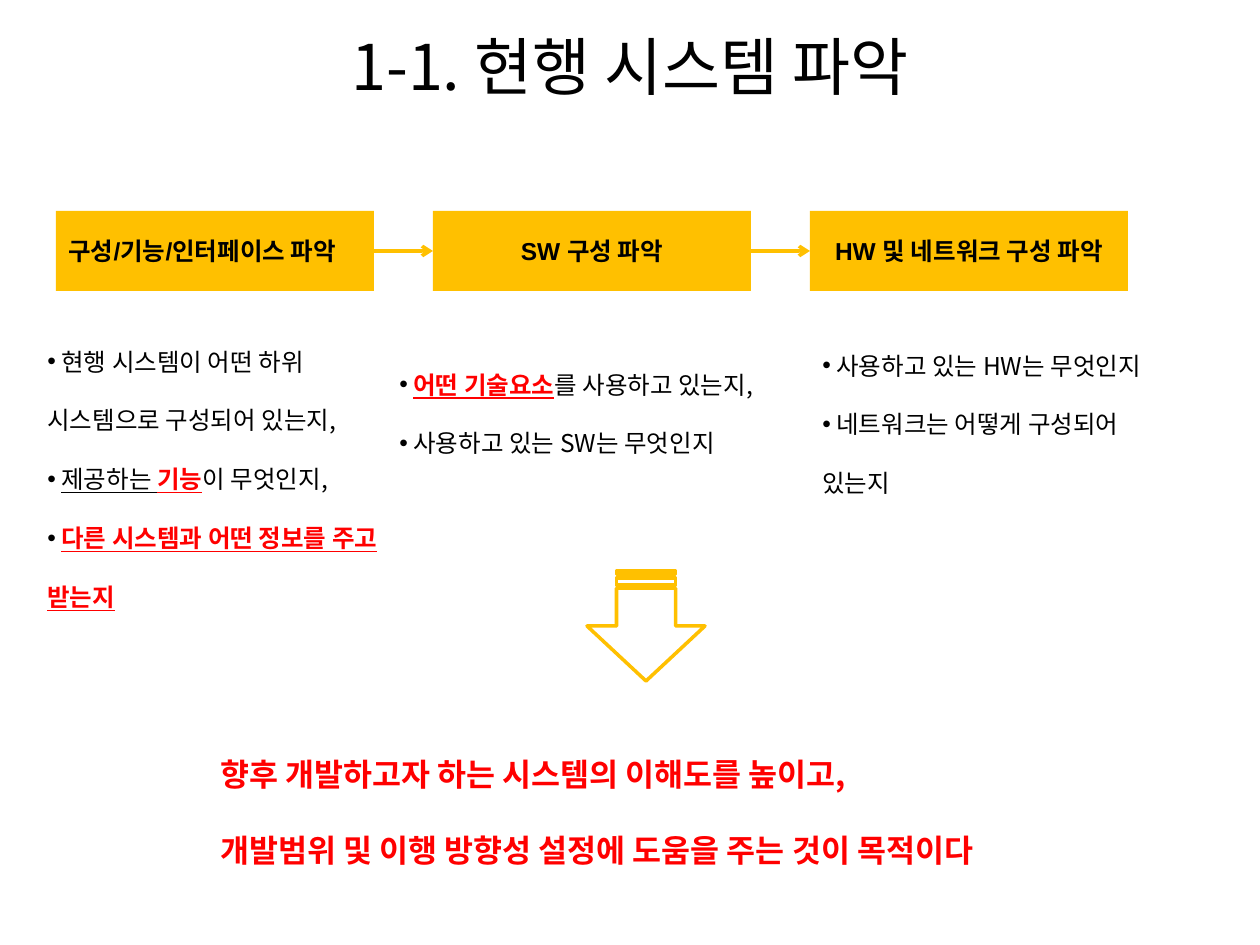
"""Build the slide on surveying the current system."""

from dataclasses import dataclass
from itertools import pairwise
from typing import Any, NamedTuple

import pptx
import pptx.dml.color
import pptx.enum.shapes
import pptx.enum.text
import pptx.oxml.ns
import pptx.util
from lxml import etree

EMU_PER_PX = 914400 / 126
ALIGN = pptx.enum.text.PP_ALIGN
ANCHOR = pptx.enum.text.MSO_ANCHOR
SHAPE = pptx.enum.shapes.MSO_SHAPE


@dataclass(frozen=True)
class Theme:
    amber: str = "FFC000"
    ink: str = "000000"
    accent: str = "FF0000"
    korean: str = "Noto Sans CJK KR"
    latin: str = "Arial"
    title_size: int = 36
    body_size: int = 14
    goal_size: int = 18
    line_width: int = 2


class Frame(NamedTuple):
    left: int
    top: int
    width: int
    height: int


class Span(NamedTuple):
    text: str
    strong: bool = False
    underlined: bool = False


class Step(NamedTuple):
    heading: str
    align: Any
    question_area: Frame
    questions: list[list[Span]]


THEME = Theme()
FIRST_STEP = Frame(56, 211, 318, 80)
STEP_PITCH = 377
STEPS = [
    Step("구성/기능/인터페이스 파악", ALIGN.LEFT, Frame(35, 311, 367, 310), [
        [Span(" 현행 시스템이 어떤 하위 시스템으로 구성되어 있는지,")],
        [Span(" "), Span("제공하는 ", underlined=True), Span("기능", True, True), Span("이 무엇인지,")],
        [Span(" "), Span("다른 시스템과 어떤 정보를 주고 받는지", True, True)],
    ]),
    Step("SW 구성 파악", ALIGN.CENTER, Frame(387, 334, 436, 131), [
        [Span(" "), Span("어떤 기술요소", True, True), Span("를 사용하고 있는지,")],
        [Span(" 사용하고 있는 SW는 무엇인지")],
    ]),
    Step("HW 및 네트워크 구성 파악", ALIGN.CENTER, Frame(810, 315, 389, 181), [
        [Span(" 사용하고 있는 HW는 무엇인지")],
        [Span(" 네트워크는 어떻게 구성되어 있는지")],
    ]),
]
GOAL = [
    [Span("향후 개발하고자 하는 시스템의 이해도를 높이고,", True)],
    [Span("개발범위 및 이행 방향성 설정에 도움을 주는 것이 목적이다", True)],
]


def px(length: int) -> pptx.util.Emu:
    """Turn pixels into EMU."""
    return pptx.util.Emu(round(length * EMU_PER_PX))


def place(frame: Frame) -> list[pptx.util.Emu]:
    """Turn a pixel frame into EMU lengths."""
    return [px(length) for length in frame]


def rgb(value: str) -> pptx.dml.color.RGBColor:
    """Turn a hex string into a colour."""
    return pptx.dml.color.RGBColor.from_string(value)


def sub(parent: Any, tag: str, **attributes: str) -> Any:
    """Append a DrawingML element to its parent."""
    return etree.SubElement(parent, pptx.oxml.ns.qn(tag), attributes)


def write(holder: Any, paragraphs: list[list[Span]], *, size: int, font: str = THEME.korean,
          align: Any = ALIGN.LEFT, anchor: Any = ANCHOR.TOP, spacing: float | None = None,
          bold: bool = False, bullet: bool = False, wrap: bool = True, grow: bool = False) -> None:
    """Fill a shape with formatted paragraphs."""
    frame = holder.text_frame
    frame.word_wrap = wrap
    frame.vertical_anchor = anchor
    if grow:
        frame.auto_size = pptx.enum.text.MSO_AUTO_SIZE.SHAPE_TO_FIT_TEXT
    for index, spans in enumerate(paragraphs):
        paragraph = frame.add_paragraph() if index else frame.paragraphs[0]
        paragraph.alignment = align
        if spacing:
            paragraph.line_spacing = spacing
        if bullet:
            properties = paragraph._p.get_or_add_pPr()
            sub(properties, "a:buFont", typeface=THEME.latin)
            sub(properties, "a:buChar", char="•")
        for span in spans:
            run = paragraph.add_run()
            run.text = span.text
            run.font.size = pptx.util.Pt(size)
            run.font.bold = bold or span.strong
            run.font.underline = span.underlined
            run.font.color.rgb = rgb(THEME.accent if span.strong else THEME.ink)
            run.font.name = font
            sub(run._r.get_or_add_rPr(), "a:ea", typeface=THEME.korean)


def draw_step(slide: Any, step: Step, index: int) -> Any:
    """Draw the heading box and the questions of a step."""
    frame = FIRST_STEP._replace(left=FIRST_STEP.left + index * STEP_PITCH)
    heading = slide.shapes.add_shape(SHAPE.RECTANGLE, *place(frame))
    heading.shadow.inherit = False
    heading.fill.solid()
    heading.fill.fore_color.rgb = rgb(THEME.amber)
    heading.line.fill.background()
    write(heading, [[Span(step.heading)]], size=THEME.body_size, font=THEME.latin,
          align=step.align, anchor=ANCHOR.MIDDLE, bold=True)
    questions = slide.shapes.add_textbox(*place(step.question_area))
    write(questions, step.questions, size=THEME.body_size, spacing=2.0, bullet=True, grow=True)
    return heading


def style_line(line: Any) -> None:
    """Give a line the amber stroke."""
    line.color.rgb = rgb(THEME.amber)
    line.width = pptx.util.Pt(THEME.line_width)


def link(slide: Any, start: Any, end: Any) -> None:
    """Join two step boxes with an arrow."""
    middle = start.top + start.height // 2
    arrow = slide.shapes.add_connector(pptx.enum.shapes.MSO_CONNECTOR.ELBOW,
                                       start.left + start.width, middle, end.left, middle)
    arrow.begin_connect(start, 3)
    arrow.end_connect(end, 1)
    style_line(arrow.line)
    sub(arrow.line._get_or_add_ln(), "a:tailEnd", type="arrow")
    sub(arrow._element.spPr, "a:effectLst")


def draw_goal(slide: Any) -> None:
    """Draw the down arrow and the goal below it."""
    arrow = slide.shapes.add_shape(SHAPE.STRIPED_RIGHT_ARROW, *place(Frame(591, 567, 110, 118)))
    arrow.rotation = 90
    arrow.shadow.inherit = False
    arrow.fill.background()
    style_line(arrow.line)
    goal = slide.shapes.add_textbox(*place(Frame(208, 711, 879, 165)))
    write(goal, GOAL, size=THEME.goal_size, spacing=2.0, wrap=False, grow=True)


def main() -> None:
    """Build and save the presentation."""
    deck = pptx.Presentation()
    deck.slide_width, deck.slide_height = px(1260), px(945)
    slide = deck.slides.add_slide(deck.slide_layouts[5])
    title = slide.shapes.title
    title.left, title.top, title.width, title.height = place(Frame(15, 6, 1230, 119))
    write(title, [[Span("1-1. 현행 시스템 파악")]], size=THEME.title_size,
          align=ALIGN.CENTER, anchor=ANCHOR.MIDDLE)
    headings = [draw_step(slide, step, index) for index, step in enumerate(STEPS)]
    for start, end in pairwise(headings):
        link(slide, start, end)
    draw_goal(slide)
    deck.save("out.pptx")


if __name__ == "__main__":
    main()
